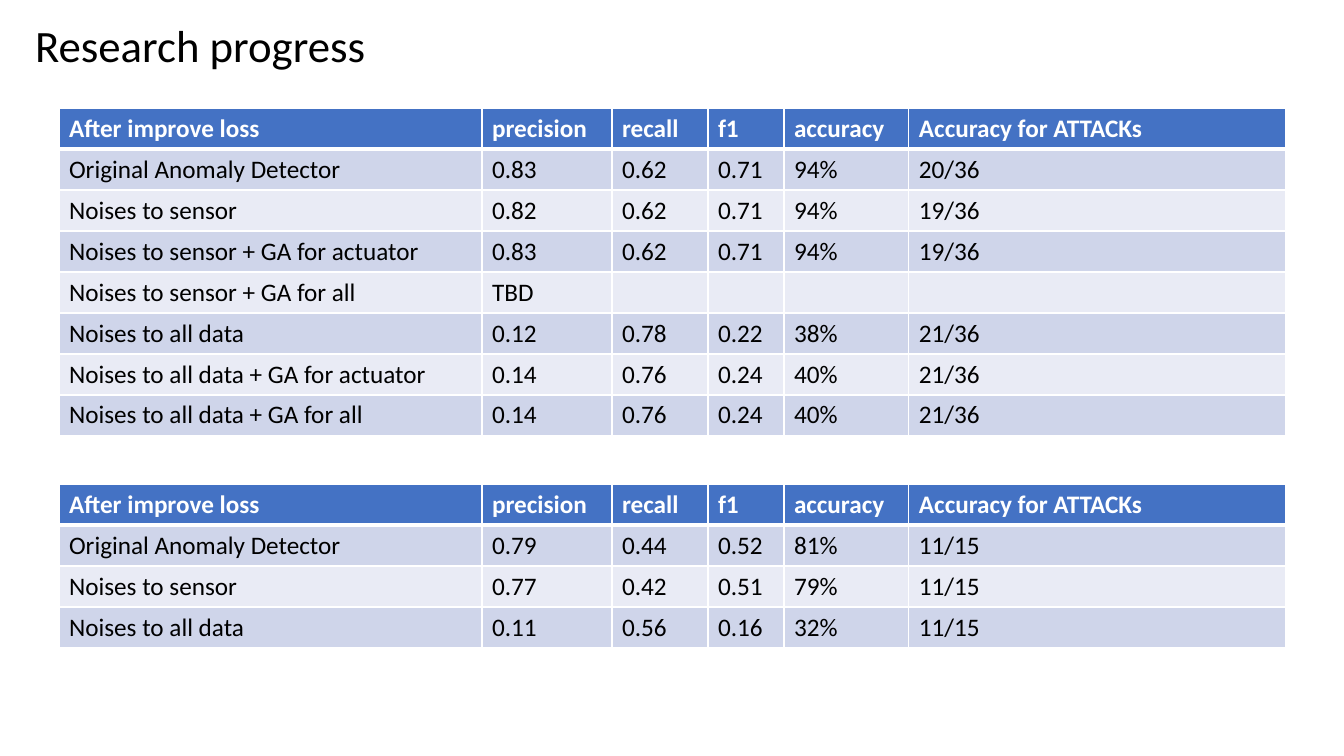
from lxml.etree import SubElement
from pptx import Presentation
from pptx.dml.color import RGBColor
from pptx.enum.text import MSO_ANCHOR, MSO_AUTO_SIZE, PP_ALIGN
from pptx.oxml.ns import qn
from pptx.util import Pt

PIXEL = 914400 / 100.8
FONT = "Calibri"
WHITE = RGBColor(0xFF, 0xFF, 0xFF)
BLACK = RGBColor(0x00, 0x00, 0x00)
HEADER_BLUE = RGBColor(0x44, 0x72, 0xC4)
BAND_DARK = RGBColor(0xCF, 0xD5, 0xEA)
BAND_LIGHT = RGBColor(0xE9, 0xEB, 0xF5)

COLUMN_WIDTHS = [423, 130, 96, 76, 125, 377]
ROW_HEIGHT = 41
HEADINGS = ["After improve loss", "precision", "recall", "f1", "accuracy",
            "Accuracy for ATTACKs "]
FULL_RESULTS = [
    ["Original Anomaly Detector", "0.83", "0.62", "0.71", "94%", "20/36"],
    ["Noises to sensor ", "0.82", "0.62", "0.71", "94%", "19/36"],
    ["Noises to sensor + GA for actuator", "0.83", "0.62", "0.71", "94%", "19/36"],
    ["Noises to sensor + GA for all", "TBD", "", "", "", ""],
    ["Noises to all data ", "0.12", "0.78", "0.22", "38%", "21/36"],
    ["Noises to all data + GA for actuator", "0.14", "0.76", "0.24", "40%", "21/36"],
    ["Noises to all data + GA for all", "0.14", "0.76", "0.24", "40%", "21/36"],
]
SHORT_RESULTS = [
    ["Original Anomaly Detector", "0.79", "0.44", "0.52", "81%", "11/15"],
    ["Noises to sensor ", "0.77", "0.42", "0.51", "79%", "11/15"],
    ["Noises to all data", "0.11", "0.56", "0.16", "32%", "11/15"],
]


def px(length):
    return round(length * PIXEL)


def style_text(paragraph, size, color, bold=False):
    for run in paragraph.runs:
        run.font.name = FONT
        run.font.size = Pt(size)
        run.font.color.rgb = color
        run.font.bold = bold


def add_borders(cell, bottom_width):
    properties = cell._tc.get_or_add_tcPr()
    widths = {"a:lnL": 1, "a:lnR": 1, "a:lnT": 1, "a:lnB": bottom_width}
    for position, (side, width) in enumerate(widths.items()):
        border = SubElement(properties, qn(side), w=str(Pt(width)))
        fill = SubElement(border, qn("a:solidFill"))
        SubElement(fill, qn("a:srgbClr"), val=str(WHITE))
        properties.insert(position, border)


def add_title(slide, left, top, width, height):
    title = slide.shapes.title
    title.left, title.top, title.width, title.height = map(px, (left, top, width, height))
    frame = title.text_frame
    frame.text = "Research progress"
    frame.word_wrap = False
    frame.auto_size = MSO_AUTO_SIZE.SHAPE_TO_FIT_TEXT
    frame.vertical_anchor = MSO_ANCHOR.TOP
    frame.paragraphs[0].alignment = PP_ALIGN.LEFT
    style_text(frame.paragraphs[0], 32, BLACK)


def add_results(slide, left, top, results):
    rows = [HEADINGS] + results
    table = slide.shapes.add_table(
        len(rows), len(HEADINGS), px(left), px(top),
        px(sum(COLUMN_WIDTHS)), px(ROW_HEIGHT * len(rows))).table
    for column, width in zip(table.columns, COLUMN_WIDTHS):
        column.width = px(width)
    for row_index, values in enumerate(rows):
        table.rows[row_index].height = px(ROW_HEIGHT)
        is_header = row_index == 0
        band = BAND_DARK if row_index % 2 else BAND_LIGHT
        for column_index, value in enumerate(values):
            cell = table.cell(row_index, column_index)
            cell.text = value
            cell.fill.solid()
            cell.fill.fore_color.rgb = HEADER_BLUE if is_header else band
            style_text(cell.text_frame.paragraphs[0], 18,
                       WHITE if is_header else BLACK, is_header)
            add_borders(cell, 3 if is_header else 1)


presentation = Presentation()
presentation.slide_width = px(1344)
presentation.slide_height = px(756)
progress_slide = presentation.slides.add_slide(presentation.slide_layouts[5])
add_title(progress_slide, 25, 13, 372, 64)
add_results(progress_slide, 59, 108, FULL_RESULTS)
add_results(progress_slide, 59, 484, SHORT_RESULTS)
presentation.save("out.pptx")
